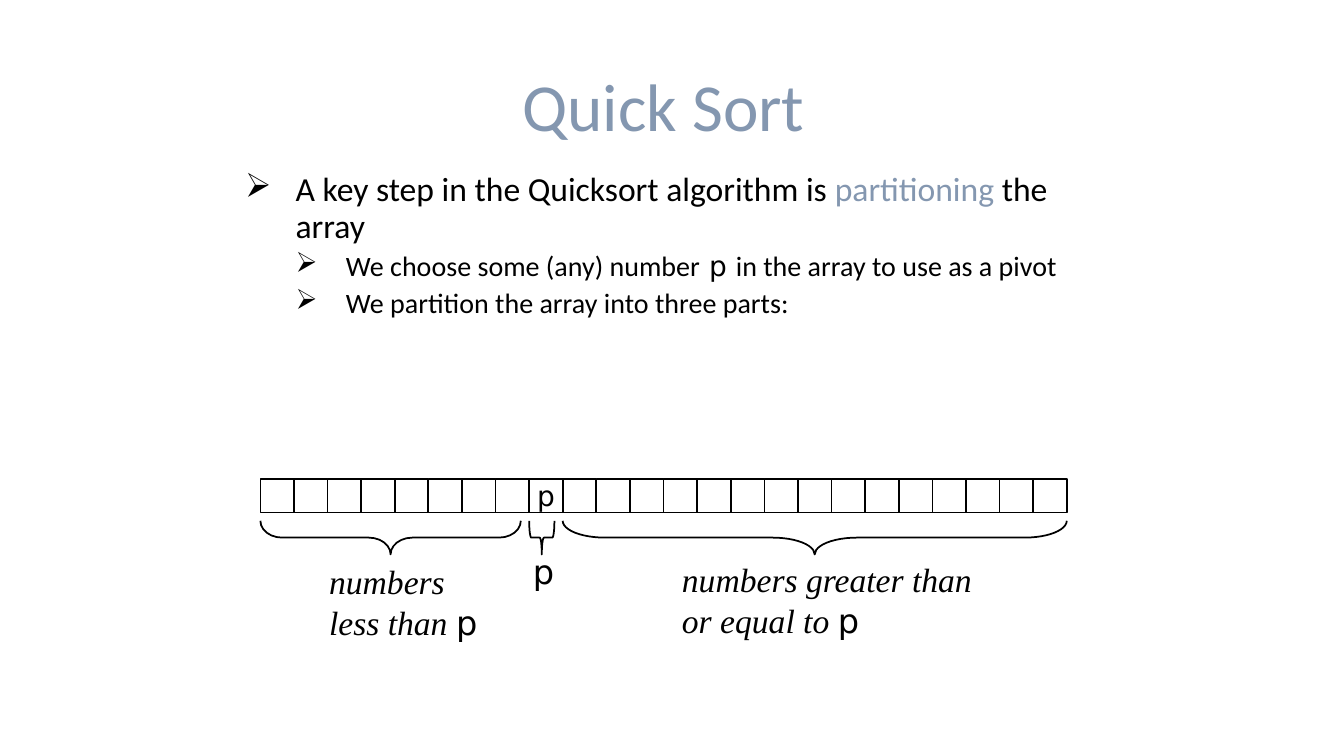
from dataclasses import dataclass

from lxml import etree
from pptx import Presentation, util as u
from pptx.dml.color import RGBColor
from pptx.enum import shapes, text
from pptx.oxml.ns import qn


@dataclass(frozen=True)
class Theme:
    """Colours, fonts and type sizes of the slide."""
    ink: str = "000000"
    tint: str = "8497B0"
    sans: str = "Calibri"
    code: str = "DejaVu Sans"
    serif: str = "Times New Roman"
    title: int = 48
    lead: int = 24
    sub: int = 20
    line: float = 1.25


T = Theme()
COLS, ROWS = 40, 22.5
UNIT = u.Inches(13.333) / COLS


def span(*cells):
    """Turn grid columns and rows into lengths."""
    return [u.Emu(round(c * UNIT)) for c in cells]


def write(frame, runs, size, font=T.sans, color=T.ink, italic=False, first=True,
          align=text.PP_ALIGN.LEFT, lead=None, before=0, level=None):
    """Write one paragraph of (text, overrides) runs and return it."""
    par = frame.paragraphs[0] if first else frame.add_paragraph()
    par.alignment = align
    par.space_before = u.Pt(before)
    if lead:
        par.line_spacing = lead
    if level is not None:
        par.level = level
        props = par._p.get_or_add_pPr()
        props.set("marL", str(u.Inches(0.5 * (level + 1))))
        props.set("indent", str(u.Inches(-0.5)))
        etree.SubElement(props, qn("a:buChar")).set("char", "➢")
    for words, over in runs:
        run = par.add_run()
        run.text = words
        look = {"font": font, "color": color, "italic": italic, **over}
        run.font.size = u.Pt(size)
        run.font.name = look["font"]
        run.font.italic = look["italic"]
        run.font.color.rgb = RGBColor.from_string(look["color"])
    return par


def add_text(parent, box, anchor=text.MSO_ANCHOR.TOP, grow=False):
    """Add a wrapping text box and return its frame."""
    frame = parent.add_textbox(*span(*box)).text_frame
    frame.word_wrap = True
    frame.vertical_anchor = anchor
    if grow:
        frame.auto_size = text.MSO_AUTO_SIZE.SHAPE_TO_FIT_TEXT
    return frame


def add_form(parent, kind, box):
    """Add an unfilled shape with a thin dark line."""
    form = parent.add_shape(kind, *span(*box))
    form.shadow.inherit = False
    form.fill.background()
    form.line.color.rgb = RGBColor.from_string(T.ink)
    form.line.width = u.Pt(T.line)
    return form


def add_title(parent, box):
    """Place the slide title at the foot of its box."""
    frame = add_text(parent, box, text.MSO_ANCHOR.BOTTOM)
    write(frame, [("Quick Sort", {})], T.title, color=T.tint,
          align=text.PP_ALIGN.CENTER, lead=0.9)


def add_body(parent, box):
    """Place the bulleted explanation."""
    frame = add_text(parent, box)
    points = [
        (0, [("A key step in the Quicksort algorithm is ", {}),
             ("partitioning", {"color": T.tint}), (" the array", {})]),
        (1, [("We choose some (any) number", {}), (" p ", {"font": T.code}),
             ("in the array to use as a pivot", {})]),
        (1, [("We partition the array into three parts:", {})]),
    ]
    for num, (level, runs) in enumerate(points):
        write(frame, runs, T.sub if level else T.lead, first=num == 0,
              lead=0.9, before=5 if level else 10, level=level)


def add_cells(parent, box, count, pivot):
    """Draw the array as equal cells and mark the pivot."""
    left, top, width, high = box
    group = parent.add_group_shape().shapes
    step = width / count
    for num in range(count):
        cell = add_form(group, shapes.MSO_SHAPE.RECTANGLE,
                        (left + num * step, top, step, high))
        if num == pivot:
            frame = cell.text_frame
            frame.word_wrap = False
            frame.vertical_anchor = text.MSO_ANCHOR.MIDDLE
            write(frame, [("p", {})], T.sub, T.code, align=text.PP_ALIGN.CENTER)


def add_part(parent, box, label, runs):
    """Draw a brace under the box's cells with its label below."""
    left, top, width, high = box
    group = parent.add_group_shape().shapes
    brace = add_form(group, shapes.MSO_SHAPE.LEFT_BRACE,
                     (left + (width - high) / 2, top + (high - width) / 2, high, width))
    brace.rotation = 270
    brace.adjustments[0] = width / min(width, high) / 12
    brace.adjustments[1] = 0.5
    shift, drop, wide, tall = label
    frame = add_text(group, (left + shift, top + drop, wide, tall), grow=True)
    write(frame, runs, T.lead, T.serif, italic=True)


def main():
    """Build and save the slide."""
    deck = Presentation()
    deck.slide_width, deck.slide_height = span(COLS, ROWS)
    parent = deck.slides.add_slide(deck.slide_layouts[6]).shapes
    add_title(parent, (7, 0.5, 25.5, 4))
    add_body(parent, (7, 5, 25.5, 17))
    left, top, count, pivot = 7.75, 14.25, 24, 8
    add_cells(parent, (left, top, count, 1), count, pivot)
    plain = {"font": T.code, "italic": False}
    parts = [
        (0, 7.75, (1.75, 1.06, 5.75, 2.73),
         [("numbers less than ", {}), ("p", plain)]),
        (pivot + 1, 15, (3.25, 1, 9.25, 2.73),
         [("numbers greater than or equal to ", {}), ("p", plain)]),
        (pivot, 0.75, (-0.5, 0.75, 1.75, 1.5), [(" p", plain)]),
    ]
    for start, width, label, runs in parts:
        add_part(parent, (left + start, top + 1.25, width, 1), label, runs)
    deck.save("out.pptx")


if __name__ == "__main__":
    main()
